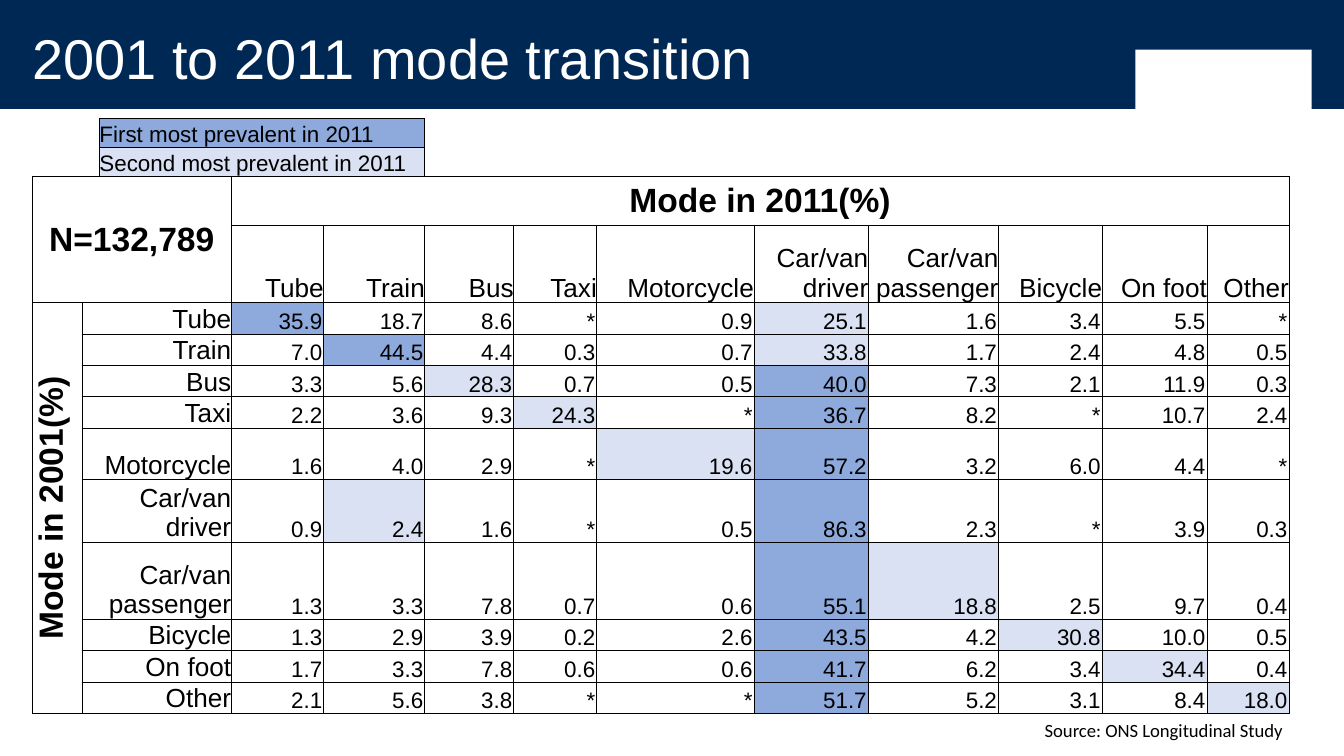
"""Build the 2001 to 2011 mode transition slide."""
from dataclasses import dataclass

from lxml.etree import SubElement
from pptx import Presentation
from pptx.dml.color import RGBColor
from pptx.enum.shapes import MSO_SHAPE
from pptx.enum.text import MSO_ANCHOR, PP_ALIGN
from pptx.oxml.ns import qn
from pptx.util import Cm, Pt


@dataclass(frozen=True)
class Theme:
    font: str = "Arial"
    source_font: str = "Calibri"
    navy: str = "002855"
    white: str = "FFFFFF"
    black: str = "000000"
    first: str = "8EA9DB"
    second: str = "D9E1F2"
    title: float = 30
    heading: float = 18
    label: float = 14
    value: float = 12
    source: float = 10
    border: float = 0.5


THEME = Theme()
MODES = ["Tube", "Train", "Bus", "Taxi", "Motorcycle", "Car/van driver",
         "Car/van passenger", "Bicycle", "On foot", "Other"]
SHARES = [
    "35.9 18.7 8.6 * 0.9 25.1 1.6 3.4 5.5 *",
    "7.0 44.5 4.4 0.3 0.7 33.8 1.7 2.4 4.8 0.5",
    "3.3 5.6 28.3 0.7 0.5 40.0 7.3 2.1 11.9 0.3",
    "2.2 3.6 9.3 24.3 * 36.7 8.2 * 10.7 2.4",
    "1.6 4.0 2.9 * 19.6 57.2 3.2 6.0 4.4 *",
    "0.9 2.4 1.6 * 0.5 86.3 2.3 * 3.9 0.3",
    "1.3 3.3 7.8 0.7 0.6 55.1 18.8 2.5 9.7 0.4",
    "1.3 2.9 3.9 0.2 2.6 43.5 4.2 30.8 10.0 0.5",
    "1.7 3.3 7.8 0.6 0.6 41.7 6.2 3.4 34.4 0.4",
    "2.1 5.6 3.8 * * 51.7 5.2 3.1 8.4 18.0",
]
SECOND_MODES = ["Car/van driver", "Car/van driver", "Bus", "Taxi", "Motorcycle",
                "Train", "Car/van passenger", "Bicycle", "On foot", "Other"]
COL_WIDTHS = [0.94, 2.82, 1.75, 1.91, 1.68, 1.57, 2.97, 2.16, 2.46, 1.96, 1.98, 1.55]
ROW_HEIGHTS = [0.94, 1.45] + [0.48] * 4 + [0.97, 0.97, 1.45] + [0.48] * 3


def add_run(p, text, size, color=THEME.black, font=THEME.font, bold=False):
    r = p.add_run()
    r.text = text
    r.font.name = font
    r.font.size = Pt(size)
    r.font.bold = bold
    r.font.color.rgb = RGBColor.from_string(color)


def add_block(s, left, top, width, height, color):
    sp = s.shapes.add_shape(MSO_SHAPE.RECTANGLE, Cm(left), Cm(top), Cm(width), Cm(height))
    sp.shadow.inherit = False
    sp.fill.solid()
    sp.fill.fore_color.rgb = RGBColor.from_string(color)
    sp.line.fill.background()


def add_text_box(s, left, top, width, height):
    sp = s.shapes.add_textbox(Cm(left), Cm(top), Cm(width), Cm(height))
    sp.text_frame.word_wrap = True
    return sp.text_frame


def add_title(s):
    tf = add_text_box(s, 0.61, 0.61, 19.89, 1.17)
    tf.margin_left = tf.margin_right = tf.margin_top = tf.margin_bottom = 0
    tf.vertical_anchor = MSO_ANCHOR.MIDDLE
    p = tf.paragraphs[0]
    p.line_spacing = 0.8
    add_run(p, "2001 to 2011 mode transition", THEME.title, THEME.white)


def add_source(s):
    p = add_text_box(s, 17.63, 13.46, 6.86, 0.69).paragraphs[0]
    p.alignment = PP_ALIGN.RIGHT
    add_run(p, "Source: ONS Longitudinal Study", THEME.source, font=THEME.source_font)


def add_grid(s, left, top, widths, heights):
    sp = s.shapes.add_table(len(heights), len(widths), Cm(left), Cm(top),
                            Cm(sum(widths)), Cm(sum(heights)))
    table = sp.table
    table.first_row = table.horz_banding = False
    for column, width in zip(table.columns, widths):
        column.width = Cm(width)
    for row, height in zip(table.rows, heights):
        row.height = Cm(height)
    for cell in table.iter_cells():
        set_borders(cell)
        cell.fill.background()
    return sp


def set_borders(cell):
    tcPr = cell._tc.get_or_add_tcPr()
    for side in ("a:lnL", "a:lnR", "a:lnT", "a:lnB"):
        ln = SubElement(tcPr, qn(side), w=str(Pt(THEME.border)))
        fill = SubElement(ln, qn("a:solidFill"))
        SubElement(fill, qn("a:srgbClr"), val=THEME.black)


def fill_cell(cell, text, size, align=PP_ALIGN.RIGHT, anchor=MSO_ANCHOR.BOTTOM,
              bold=False, color=None, margin=0):
    cell.margin_left = cell.margin_right = cell.margin_top = Cm(margin)
    cell.margin_bottom = 0
    cell.vertical_anchor = anchor
    if color:
        cell.fill.solid()
        cell.fill.fore_color.rgb = RGBColor.from_string(color)
    p = cell.text_frame.paragraphs[0]
    p.alignment = align
    add_run(p, text, size, bold=bold)


def add_heading(table, start, end, text):
    cell = table.cell(*start)
    cell.merge(table.cell(*end))
    fill_cell(cell, text, THEME.heading, PP_ALIGN.CENTER, MSO_ANCHOR.MIDDLE, bold=True)
    return cell


def add_transition_table(s):
    sp = add_grid(s, 0.61, 3.33, COL_WIDTHS, ROW_HEIGHTS)
    table = sp.table
    add_heading(table, (0, 0), (1, 1), "N=132,789")
    add_heading(table, (0, 2), (0, 11), "Mode in 2011(%)")
    side = add_heading(table, (2, 0), (11, 0), "Mode in 2001(%)")
    side._tc.get_or_add_tcPr().set("vert", "vert270")
    for i, (mode, shares, second) in enumerate(zip(MODES, SHARES, SECOND_MODES), 2):
        fill_cell(table.cell(1, i), mode, THEME.label)
        fill_cell(table.cell(i, 1), mode, THEME.label)
        values = shares.split()
        highest = max((v for v in values if v != "*"), key=float)
        colors = {second: THEME.second, MODES[values.index(highest)]: THEME.first}
        for j, (target, value) in enumerate(zip(MODES, values), 2):
            fill_cell(table.cell(i, j), value, THEME.value,
                      color=colors.get(target), margin=0.03)
    sp.height = Cm(10.08)


def add_legend(s):
    table = add_grid(s, 1.88, 2.24, [6.15], [0.55, 0.55]).table
    entries = [("First", THEME.first), ("Second", THEME.second)]
    for i, (rank, color) in enumerate(entries):
        fill_cell(table.cell(i, 0), f"{rank} most prevalent in 2011", THEME.value,
                  PP_ALIGN.LEFT, color=color)


def main():
    prs = Presentation()
    prs.slide_width, prs.slide_height = Cm(25.4), Cm(14.29)
    s = prs.slides.add_slide(prs.slide_layouts[6])
    add_block(s, 0, 0, 25.4, 2.06, THEME.navy)
    add_block(s, 21.46, 0.94, 3.33, 1.12, THEME.white)
    add_title(s)
    add_transition_table(s)
    add_legend(s)
    add_source(s)
    prs.save("out.pptx")


if __name__ == "__main__":
    main()
